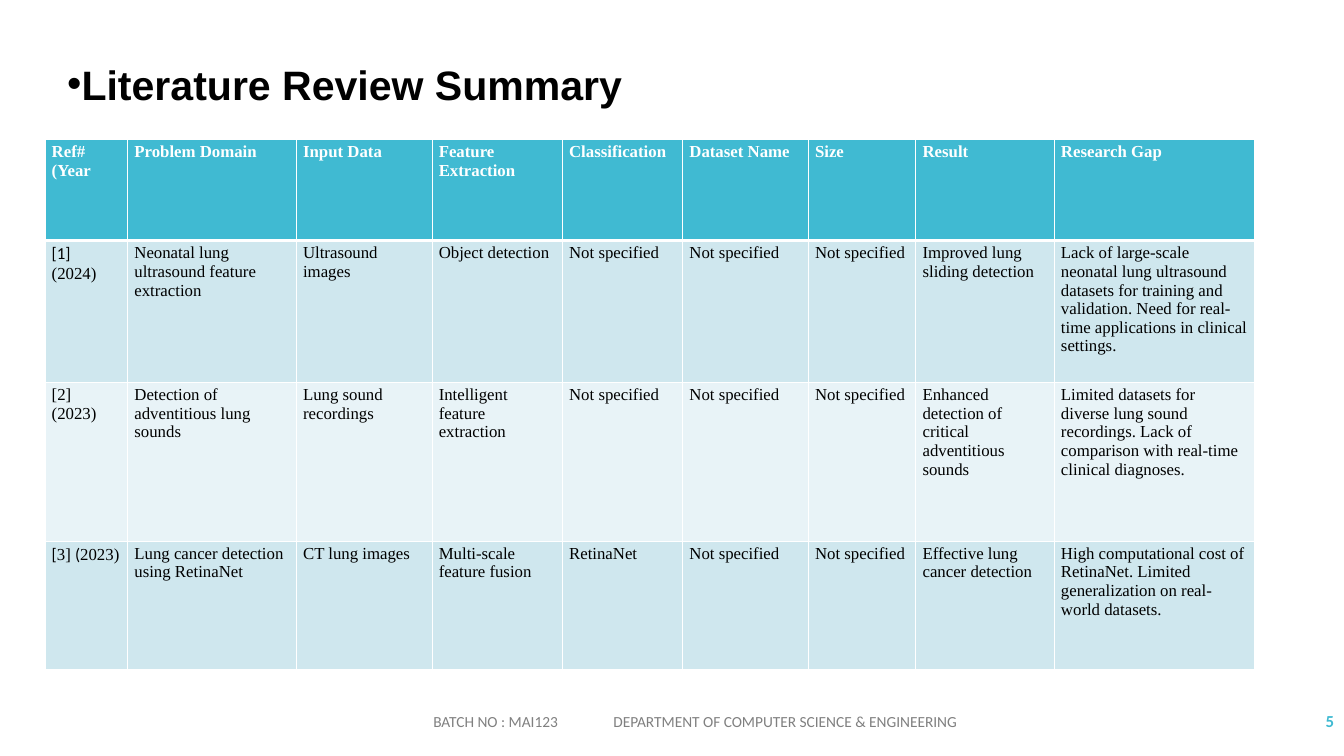
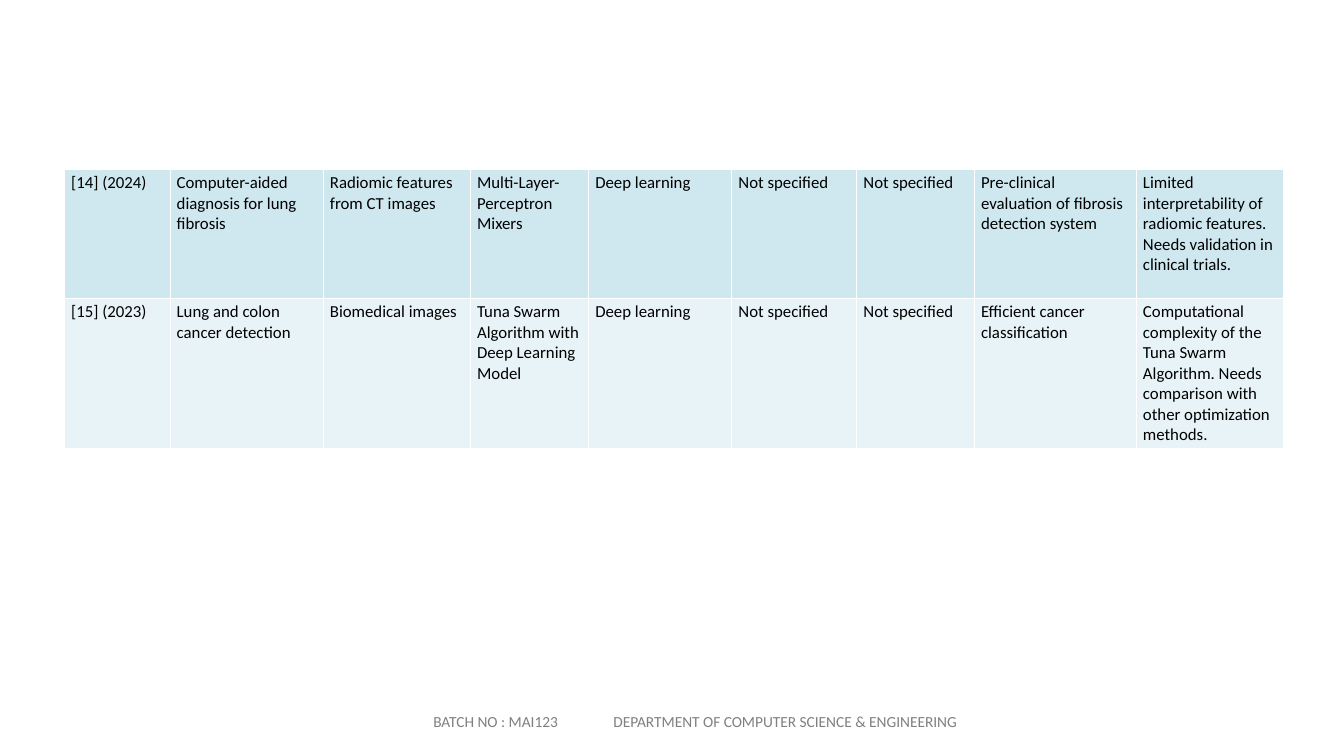
from lxml.etree import SubElement
from pptx import Presentation
from pptx.dml.color import RGBColor
from pptx.enum.text import MSO_ANCHOR, MSO_AUTO_SIZE, PP_ALIGN
from pptx.oxml.ns import qn
from pptx.util import Inches, Pt

GRID_COLUMNS, GRID_ROWS = 20, 11.25
TEAL, WHITE, BLACK, GREY = "40BAD2", "FFFFFF", "000000", "808080"
BANDS = ("CFE7EE", "E8F3F7")
SERIF, SANS = "Times New Roman", "Calibri"
TITLE_STYLE = dict(name="Arial", size=Pt(44), bold=True, color=BLACK)
FOOTER_STYLE = dict(name=SANS, size=Pt(16.5), bold=False, color=GREY)
NUMBER_STYLE = dict(name=SANS, size=Pt(18), bold=True, color=TEAL)
HEADER_STYLE = dict(name=SERIF, size=Pt(18), bold=True, color=WHITE)
SERIF_STYLE = dict(name=SERIF, size=Pt(18), bold=False, color=BLACK)
SANS_STYLE = SERIF_STYLE | dict(name=SANS)
FOOTER_ROW, FOOTER_HEIGHT = 10.43, 0.6
UNKNOWN = "Not specified"

HEADINGS = ["Ref# (Year", "Problem Domain", "Input Data", "Feature Extraction",
            "Classification", "Dataset Name", "Size", "Result", "Research Gap"]
FIRST_STUDIES = [
    ["|[1]|\n(2024)", "Neonatal lung ultrasound feature extraction",
     "Ultrasound images", "Object detection", UNKNOWN, UNKNOWN, UNKNOWN,
     "Improved lung sliding detection",
     "Lack of large-scale neonatal lung ultrasound datasets for training and "
     "validation. Need for real-time applications in clinical settings."],
    ["[2]\n(2023)", "Detection of adventitious lung sounds",
     "Lung sound recordings", "Intelligent feature extraction",
     UNKNOWN, UNKNOWN, UNKNOWN,
     "Enhanced detection of critical adventitious sounds",
     "Limited datasets for diverse lung sound recordings. Lack of comparison "
     "with real-time clinical diagnoses."],
    ["|[|3] |(|2023)", "Lung cancer detection using RetinaNet",
     "CT lung images", "Multi-scale feature fusion", "RetinaNet",
     UNKNOWN, UNKNOWN, "Effective lung cancer detection",
     "High computational cost of RetinaNet. Limited generalization on "
     "real-world datasets."],
]
LAST_STUDIES = [
    ["[14] (2024)", "Computer-aided diagnosis for lung fibrosis",
     "Radiomic features from CT images", "Multi-Layer-Perceptron Mixers",
     "Deep learning", UNKNOWN, UNKNOWN,
     "Pre-clinical evaluation of fibrosis detection system",
     "Limited interpretability of radiomic features. Needs validation in "
     "clinical trials."],
    ["[15] (2023)", "Lung and colon cancer detection", "Biomedical images",
     "Tuna Swarm Algorithm with Deep Learning Model", "Deep learning",
     UNKNOWN, UNKNOWN, "Efficient cancer classification",
     "Computational complexity of the Tuna Swarm Algorithm. Needs comparison "
     "with other optimization methods."],
]


def rgb(value):
    """Turn a hex string into a colour."""
    return RGBColor.from_string(value)


def grid(*units):
    """Turn grid units into lengths."""
    return [Inches(unit) for unit in units]


def style_font(font, style):
    """Apply a dict of format values to a font."""
    for key, value in style.items():
        if key == "color":
            font.color.rgb = rgb(value)
        else:
            setattr(font, key, value)


def add_title(slide, text):
    """Fill the title placeholder with a bulleted heading."""
    title = slide.shapes.title
    title.left, title.top, title.width, title.height = grid(1, 0.88, 13.67, 0.74)
    frame = title.text_frame
    settings = dict(margin_left=0, margin_top=0, margin_right=0, margin_bottom=0,
                    word_wrap=True, vertical_anchor=MSO_ANCHOR.TOP,
                    auto_size=MSO_AUTO_SIZE.SHAPE_TO_FIT_TEXT)
    for key, value in settings.items():
        setattr(frame, key, value)
    heading = frame.paragraphs[0]
    heading.alignment = PP_ALIGN.LEFT
    properties = heading._p.get_or_add_pPr()
    properties.set("marL", "0")
    properties.set("indent", "0")
    SubElement(properties, qn("a:buFont"), typeface="Arial")
    SubElement(properties, qn("a:buChar"), char="•")
    run = heading.add_run()
    run.text = text
    style_font(run.font, TITLE_STYLE)


def add_footer_text(slide, text, column, width, style, align=PP_ALIGN.LEFT, tab=None):
    """Add one line of text in the footer row, with an optional tab stop."""
    box = slide.shapes.add_textbox(*grid(column, FOOTER_ROW, width, FOOTER_HEIGHT))
    frame = box.text_frame
    frame.word_wrap = True
    frame.vertical_anchor = MSO_ANCHOR.MIDDLE
    line = frame.paragraphs[0]
    line.alignment = align
    if tab:
        stops = SubElement(line._p.get_or_add_pPr(), qn("a:tabLst"))
        SubElement(stops, qn("a:tab"), pos=str(Inches(tab)), algn="l")
    run = line.add_run()
    run.text = text
    style_font(run.font, style)


def add_footer(slide):
    """Add the batch and department line shared by the slides."""
    add_footer_text(slide, "BATCH NO : MAI123\tDEPARTMENT OF COMPUTER SCIENCE & ENGINEERING",
                    6.35, 9.7, FOOTER_STYLE, tab=2.68)


def write_cell(cell, text, style):
    """Write lines into a cell, with pieces between bars in the sans font."""
    for index, line in enumerate(text.split("\n")):
        frame = cell.text_frame
        paragraph = frame.add_paragraph() if index else frame.paragraphs[0]
        for order, piece in enumerate(line.split("|")):
            if piece:
                run = paragraph.add_run()
                run.text = piece
                style_font(run.font, SANS_STYLE if order % 2 else style)


def paint_cell(cell, fill, borders):
    """Draw white borders of the given point widths and fill a cell."""
    properties = cell._tc.get_or_add_tcPr()
    for side, points in borders.items():
        edge = SubElement(properties, qn(f"a:ln{side}"), w=str(Pt(points)))
        SubElement(SubElement(edge, qn("a:solidFill")), qn("a:srgbClr"), val=WHITE)
    cell.fill.solid()
    cell.fill.fore_color.rgb = rgb(fill)


def add_review_table(slide, column, row, widths, heights, studies, style, headings=None):
    """Add a banded table of studies below optional headings."""
    lines = ([headings] if headings else []) + studies
    table = slide.shapes.add_table(len(lines), len(widths), *grid(
        column, row, sum(widths), sum(heights))).table
    table.first_row = bool(headings)
    for tracks, lengths, side in ((table.columns, widths, "width"),
                                  (table.rows, heights, "height")):
        for track, length in zip(tracks, grid(*lengths)):
            setattr(track, side, length)
    bands = ([TEAL] if headings else []) + [
        BANDS[index % 2] for index in range(len(studies))]
    for index, (texts, band) in enumerate(zip(lines, bands)):
        is_heading = band == TEAL
        below_heading = index > 0 and bands[index - 1] == TEAL
        borders = dict(L=1, R=1, T=3 if below_heading else 1, B=3 if is_heading else 1)
        for cell, text in zip(table.rows[index].cells, texts):
            write_cell(cell, text, HEADER_STYLE if is_heading else style)
            paint_cell(cell, band, borders)


def main():
    """Build the literature review slides."""
    deck = Presentation()
    deck.slide_width, deck.slide_height = grid(GRID_COLUMNS, GRID_ROWS)
    title_only, blank = deck.slide_layouts[5], deck.slide_layouts[6]

    summary = deck.slides.add_slide(title_only)
    add_title(summary, "Literature Review Summary")
    add_footer_text(summary, "5", 17.44, 2.51, NUMBER_STYLE, PP_ALIGN.RIGHT)
    add_footer(summary)
    add_review_table(summary, 0.67, 2.07,
                     [1.23, 2.51, 2.02, 1.94, 1.79, 1.87, 1.6, 2.06, 2.98],
                     [1.51, 2.11, 2.36, 1.91], FIRST_STUDIES, SERIF_STYLE, HEADINGS)

    continuation = deck.slides.add_slide(blank)
    add_review_table(continuation, 0.96, 2.52,
                     [1.57, 2.28, 2.19, 1.76, 2.13, 1.86, 1.75, 2.41, 2.19],
                     [1.92, 2.23], LAST_STUDIES, SANS_STYLE)
    add_footer(continuation)
    deck.save("out.pptx")


if __name__ == "__main__":
    main()
